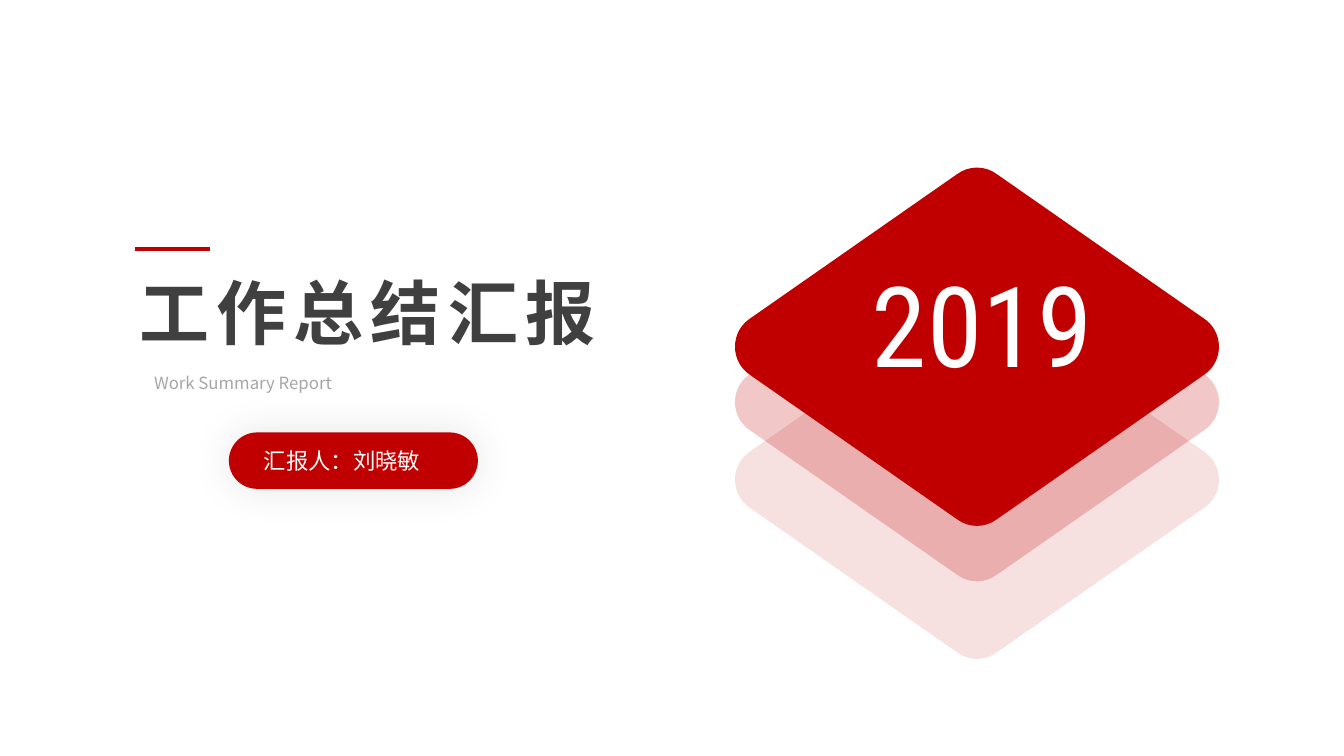
import pptx
import pptx.util
import pptx.dml.color
import pptx.enum.shapes
import pptx.enum.text
import pptx.oxml
import pptx.oxml.ns
from dataclasses import dataclass
from pptx.util import Inches


@dataclass(frozen=True)
class Theme:
    red: str = "C00000"
    dark: str = "404040"
    grey: str = "A6A6A6"
    white: str = "FFFFFF"
    cjk: str = "Noto Sans CJK SC"
    year_size: int = 80
    title_size: int = 50
    presenter_size: int = 16
    subtitle_size: int = 12


theme = Theme()
rgb = pptx.dml.color.RGBColor.from_string
qn = pptx.oxml.ns.qn
A_NS = pptx.oxml.ns.nsdecls("a")


def add_text(shapes, box, text, size, color, font, insets=(0.1, 0.05), wrap=False):
    """Add one line of text; return its paragraph."""
    frame = shapes.add_textbox(*map(Inches, box)).text_frame
    frame.word_wrap = wrap
    frame.auto_size = pptx.enum.text.MSO_AUTO_SIZE.SHAPE_TO_FIT_TEXT
    frame.margin_left = frame.margin_right = Inches(insets[0])
    frame.margin_top = frame.margin_bottom = Inches(insets[1])
    paragraph = frame.paragraphs[0]
    paragraph.text = text
    paragraph.font.size = pptx.util.Pt(size)
    paragraph.font.color.rgb = rgb(color)
    paragraph.font.name = font
    east_asian = pptx.oxml.parse_xml(f'<a:ea {A_NS} typeface="{theme.cjk}"/>')
    paragraph.font._element.append(east_asian)
    return paragraph


def round_corners(shape, pattern):
    """Turn each three line segments at a "C" in the pattern into one curve."""
    segments = iter(list(shape._element.iter(qn("a:lnTo"))))
    for kind in pattern:
        segment = next(segments)
        if kind == "C":
            segment.addprevious(pptx.oxml.parse_xml(f"<a:cubicBezTo {A_NS}/>"))
            bezier = segment.getprevious()
            for line in (segment, next(segments), next(segments)):
                bezier.append(line[0])
                line.getparent().remove(line)


deck = pptx.Presentation()
deck.slide_width, deck.slide_height = Inches(13.33), Inches(7.5)
slide = deck.slides.add_slide(deck.slide_layouts[6])
shapes = slide.shapes

# Subtitle
subtitle = add_text(shapes, (1.43, 3.64, 4.5, 0.26), "Work Summary Report",
                    theme.subtitle_size, theme.grey, theme.cjk, (0.1, 0), True)
subtitle.alignment = pptx.enum.text.PP_ALIGN.JUSTIFY
subtitle.line_spacing = 1.3

# Rounded diamond: right and bottom corners, then the same turned by 180 degrees
half = [(2.25, -0.28),
        (2.34, -0.22), (2.4, -0.12), (2.4, 0),
        (2.4, 0.12), (2.34, 0.22), (2.25, 0.28),
        (0.2, 1.71),
        (0.08, 1.8), (-0.08, 1.8), (-0.2, 1.71)]
outline = half + [(-x, -y) for x, y in half]

# Stacked diamonds: centre height and opacity in percent
center_x = 9.69
for center_y, opacity in ((3.44, 100), (3.99, 22), (4.76, 12)):
    points = [(Inches(center_x + x), Inches(center_y + y)) for x, y in outline]
    builder = shapes.build_freeform(*points[-1])
    builder.add_line_segments(points, close=True)
    diamond = builder.convert_to_shape()
    round_corners(diamond, "LCCLC" * 2)
    diamond.shadow.inherit = False
    diamond.line.fill.background()
    diamond.fill.solid()
    diamond.fill.fore_color.rgb = rgb(theme.red)
    if opacity < 100:
        color = diamond._element.spPr.find(".//" + qn("a:srgbClr"))
        color.append(pptx.oxml.parse_xml(f'<a:alpha {A_NS} val="{opacity * 1000}"/>'))

# Title with its accent line
title = add_text(shapes, (1.3, 2.63, 4.75, 0.92), "工作总结汇报",
                 theme.title_size, theme.dark, theme.cjk, (0.08, 0.04))
title.space_before = pptx.util.Pt(8)
title.font.bold = True
title.font._element.set("spc", "520")

accent = shapes.add_connector(pptx.enum.shapes.MSO_CONNECTOR.STRAIGHT,
                              Inches(1.34), Inches(2.47), Inches(2.08), Inches(2.47))
accent.line.color.rgb = rgb(theme.red)
accent.line.width = pptx.util.Pt(2.25)
accent._element.spPr.append(pptx.oxml.parse_xml(f"<a:effectLst {A_NS}/>"))

# Presenter pill with a soft shadow
presenter = shapes.add_group_shape()
pill = presenter.shapes.add_shape(pptx.enum.shapes.MSO_SHAPE.ROUNDED_RECTANGLE,
                                  Inches(2.27), Inches(4.29), Inches(2.47), Inches(0.56))
pill.adjustments[0] = 0.5
pill.fill.solid()
pill.fill.fore_color.rgb = rgb(theme.red)
pill.line.fill.background()
pill._element.spPr.append(pptx.oxml.parse_xml(
    f'<a:effectLst {A_NS}><a:outerShdw blurRad="{pptx.util.Pt(29)}" dist="0" dir="0" '
    'algn="ctr" rotWithShape="0"><a:srgbClr val="000000"><a:alpha val="10000"/>'
    '</a:srgbClr></a:outerShdw></a:effectLst>'))
add_text(presenter.shapes, (2.52, 4.39, 1.76, 0.37), "汇报人：刘晓敏",
         theme.presenter_size, theme.white, "Arial")

# Year on the top diamond
add_text(shapes, (8.55, 2.49, 2.4, 1.45), "2019",
         theme.year_size, theme.white, "Roboto Condensed")

deck.save("out.pptx")
